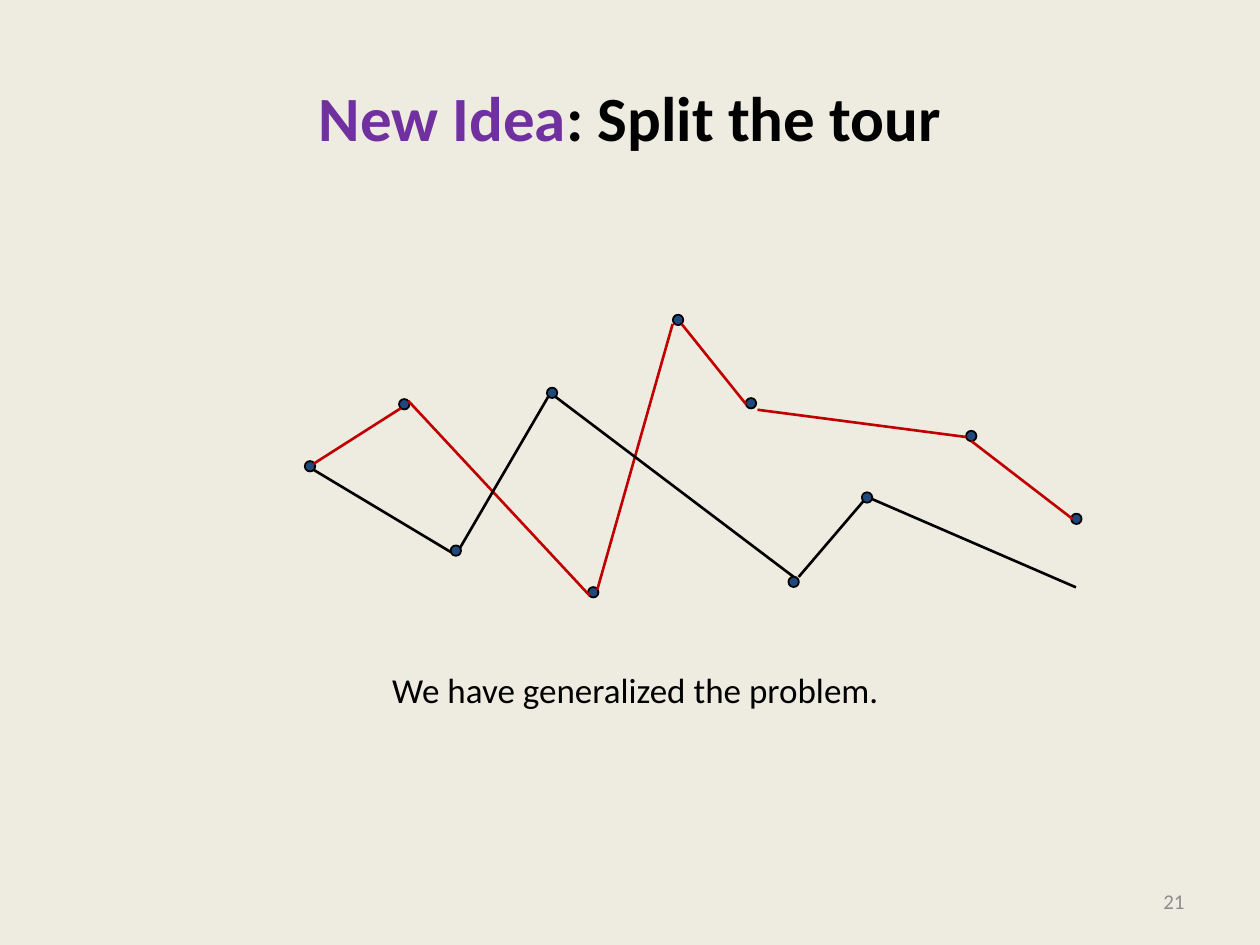
from lxml.etree import SubElement
from pptx import Presentation
from pptx.dml.color import RGBColor
from pptx.enum.shapes import MSO_CONNECTOR, MSO_SHAPE
from pptx.enum.text import MSO_ANCHOR, PP_ALIGN
from pptx.oxml.ns import qn
from pptx.util import Cm, Pt

COLORS = {"paper": "EEECE1", "purple": "7030A0", "black": "000000",
          "gray": "8C8C8C", "navy": "1F497D", "red": "C00000"}
DOT_SIZE = 0.21


def color(name):
    return RGBColor.from_string(COLORS[name])


def add_label(page, frame, align, size, spans, bold=False):
    """Add a one-line text box; spans are (text, colour name) pairs."""
    box = page.shapes.add_textbox(*[Cm(length) for length in frame])
    box.text_frame.word_wrap = True
    box.text_frame.vertical_anchor = MSO_ANCHOR.MIDDLE
    para = box.text_frame.paragraphs[0]
    para.alignment = align
    for text, tint in spans:
        span = para.add_run()
        span.text = text
        span.font.name = "Calibri"
        span.font.size = Pt(size)
        span.font.bold = bold
        span.font.color.rgb = color(tint)


deck = Presentation()
deck.slide_width, deck.slide_height = Cm(25.4), Cm(19.05)
page = deck.slides.add_slide(deck.slide_layouts[6])
page.background.fill.solid()
page.background.fill.fore_color.rgb = color("paper")

add_label(page, (1.27, 0.76, 22.86, 3.18), PP_ALIGN.CENTER, 36,
          [("New Idea", "purple"), (": Split the tour", "black")], bold=True)
add_label(page, (0.43, 13.35, 24.76, 1.1), PP_ALIGN.CENTER, 20,
          [("We have generalized the problem.", "black")])
add_label(page, (18.2, 17.65, 5.93, 1.02), PP_ALIGN.RIGHT, 12, [("21", "gray")])

# Centres of the cities, in centimetres
cities = [(6.25, 9.4), (15.14, 8.13), (11.13, 7.92), (9.19, 11.1),
          (11.96, 11.94), (8.15, 8.15), (13.67, 6.45), (17.48, 10.03),
          (16, 11.73), (19.58, 8.79), (21.7, 10.46)]
for x, y in cities:
    dot = page.shapes.add_shape(
        MSO_SHAPE.OVAL, Cm(x - DOT_SIZE / 2), Cm(y - DOT_SIZE / 2),
        Cm(DOT_SIZE), Cm(DOT_SIZE))
    dot.shadow.inherit = False
    dot.fill.solid()
    dot.fill.fore_color.rgb = color("navy")
    dot.line.color.rgb = color("black")
    dot.line.width = Pt(1)

# Legs of the two half tours: start x, start y, end x, end y
tours = {
    "red": [(15.27, 8.26, 19.48, 8.81), (13.74, 6.53, 15.04, 8.15),
            (13.56, 6.53, 12.04, 11.89), (11.89, 12.01, 8.23, 8.08),
            (8.08, 8.23, 6.32, 9.35), (19.58, 8.89, 21.62, 10.46)],
    "black": [(9.09, 11.13, 6.32, 9.47), (9.27, 11.05, 11.05, 8),
              (16, 11.63, 11.2, 8), (16.1, 11.63, 17.4, 10.11),
              (17.58, 10.06, 21.69, 11.84)],
}
for tint, legs in tours.items():
    for leg in legs:
        line = page.shapes.add_connector(
            MSO_CONNECTOR.STRAIGHT, *[Cm(length) for length in leg])
        line.line.color.rgb = color(tint)
        line.line.width = Pt(1.5)
        SubElement(line._element.spPr, qn("a:effectLst"))

deck.save("out.pptx")
